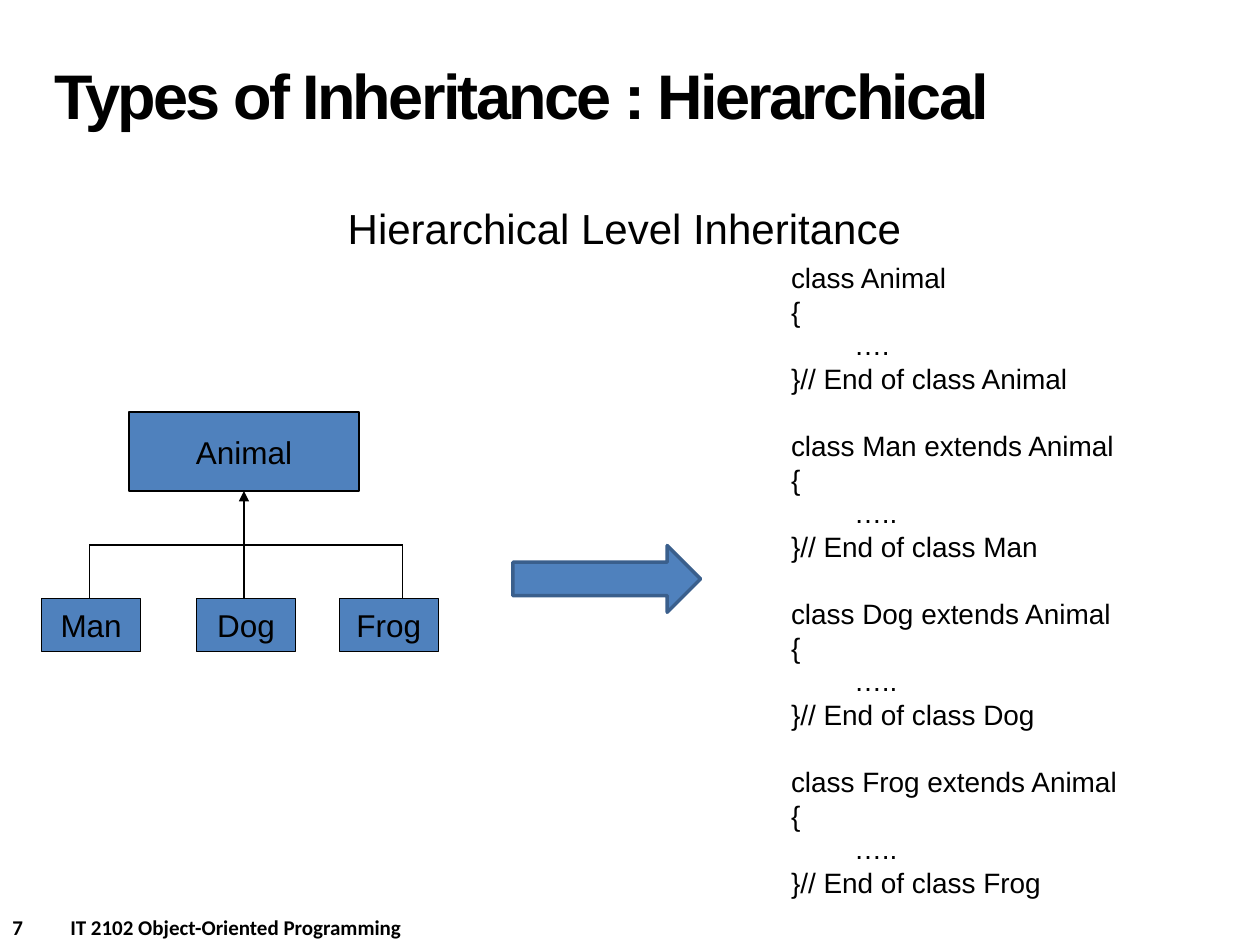
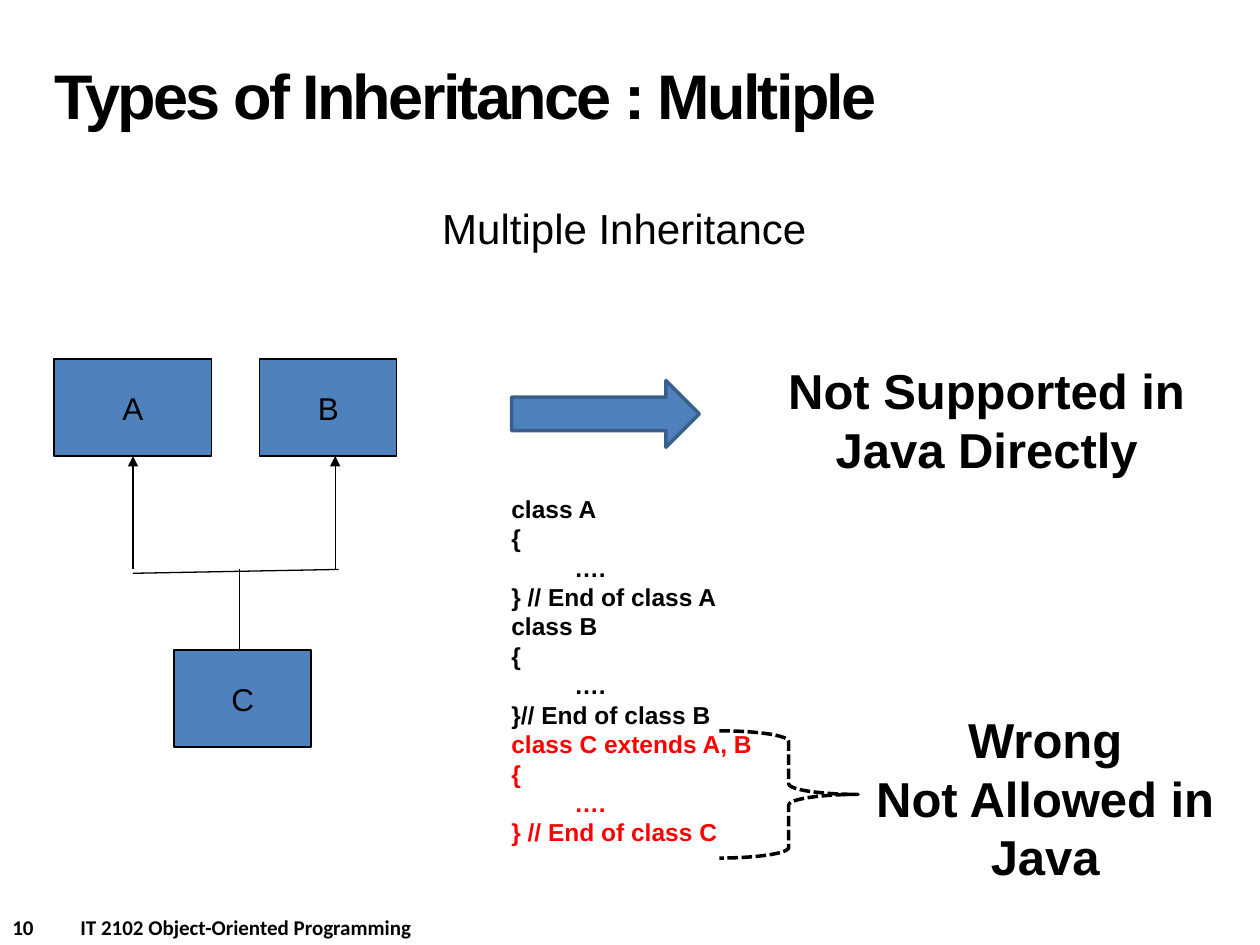
from dataclasses import dataclass

from lxml import etree
from pptx import Presentation, util as u
from pptx.dml.color import RGBColor
from pptx.enum import dml, shapes, text
from pptx.oxml import ns

BLACK, BLUE, BLUE_EDGE, RED = "000000", "4F81BD", "3A5F8C", "FF0000"
BODY_FONT, FOOTER_FONT = "Arial", "Calibri"
COURSE = "IT 2102 Object-Oriented Programming"

deck = Presentation()
deck.slide_width, deck.slide_height = u.Inches(10), u.Inches(7.5)
COLUMN, ROW = deck.slide_width / 100, deck.slide_height / 75


@dataclass
class Box:
    """An area in grid columns and rows; areas within it are given as shares."""
    left: float
    top: float
    width: float
    height: float

    def inner(self, x, y, width, height):
        return Box(self.left + x * self.width, self.top + y * self.height,
                   width * self.width, height * self.height)

    def point(self, x, y):
        return (int((self.left + x * self.width) * COLUMN),
                int((self.top + y * self.height) * ROW))

    def emu(self):
        return (*self.point(0, 0), int(self.width * COLUMN), int(self.height * ROW))


TITLE = Box(3.3, 1.7, 93.1, 12.5)
SUBTITLE = Box(1.1, 15.6, 96.9, 5)
FOOTER = Box(0, 72.1, 50, 3)


# Formatting helpers
def rgb(value):
    return RGBColor.from_string(value)


def sub_element(parent, tag, **attributes):
    return etree.SubElement(parent, ns.qn(tag), attributes)


def format_text(paragraph, size, colour=BLACK, bold=False, font=BODY_FONT):
    for run in paragraph.runs:
        run.font.size, run.font.bold, run.font.name = u.Pt(size), bold, font
        run.font.color.rgb = rgb(colour)


def add_text(slide, box, lines, size, align=text.PP_ALIGN.LEFT, **style):
    frame = slide.shapes.add_textbox(*box.emu()).text_frame
    frame.word_wrap = True
    frame.auto_size = text.MSO_AUTO_SIZE.SHAPE_TO_FIT_TEXT
    frame.text = "\n".join(lines)
    for paragraph in frame.paragraphs:
        paragraph.alignment = align
        format_text(paragraph, size, **style)
    return frame


def add_preset(holder, preset, box, edge, weight, fill=None):
    shape = holder.shapes.add_shape(preset, *box.emu())
    shape.shadow.inherit = False
    if fill:
        shape.fill.solid()
        shape.fill.fore_color.rgb = rgb(fill)
    else:
        shape.fill.background()
    shape.line.color.rgb = rgb(edge)
    shape.line.width = u.Pt(weight)
    return shape


def add_class_box(diagram, box, name):
    frame = add_preset(diagram, shapes.MSO_SHAPE.RECTANGLE, box, BLACK, 0.75, BLUE).text_frame
    frame.word_wrap = False
    frame.vertical_anchor = text.MSO_ANCHOR.MIDDLE
    frame.text = name
    frame.paragraphs[0].alignment = text.PP_ALIGN.CENTER
    format_text(frame.paragraphs[0], 18)


def add_line(diagram, start, end, arrow=False):
    line = diagram.shapes.add_connector(shapes.MSO_CONNECTOR.STRAIGHT, *start, *end)
    line.line.color.rgb = rgb(BLACK)
    line.line.width = u.Pt(0.75)
    if arrow:
        sub_element(line.get_or_add_ln(), "a:tailEnd", type="triangle")
    sub_element(line._element.spPr, "a:effectLst")


# Title, subtitle and footer shared by the slides
def add_topic_slide(number, topic, subtitle):
    slide = deck.slides.add_slide(deck.slide_layouts[5])
    heading = slide.shapes.title
    heading.left, heading.top, heading.width, heading.height = TITLE.emu()
    frame = heading.text_frame
    frame.auto_size = text.MSO_AUTO_SIZE.NONE
    frame.vertical_anchor = text.MSO_ANCHOR.MIDDLE
    frame.text = f"Types of Inheritance : {topic}"
    paragraph = frame.paragraphs[0]
    paragraph.alignment = text.PP_ALIGN.LEFT
    paragraph.line_spacing = u.Pt(36)
    format_text(paragraph, 36, bold=True)
    paragraph.runs[0]._r.get_or_add_rPr().set("spc", "-150")

    add_text(slide, SUBTITLE, [subtitle], 24, text.PP_ALIGN.CENTER)

    footer = add_text(slide, FOOTER, [f"{number}\t{COURSE}"], 12, bold=True, font=FOOTER_FONT)
    course_start = u.Inches(0.38 + 0.08 * len(str(number)))
    tabs = sub_element(footer.paragraphs[0]._p.get_or_add_pPr(), "a:tabLst")
    sub_element(tabs, "a:tab", pos=str(course_start), algn="l")
    return slide


def add_block_arrow(slide, box):
    add_preset(slide, shapes.MSO_SHAPE.RIGHT_ARROW, box, BLUE_EDGE, 2, BLUE)


# Code listing: one (header, body, end, colour) entry for each class
def add_code(slide, box, classes, size, gap=0, bold=False):
    lines = [line for header, body, end, _ in classes
             for line in (header, "{", f"\t{body}", end)]
    paragraphs = add_text(slide, box, lines, size, bold=bold).paragraphs
    for index, paragraph in enumerate(paragraphs):
        format_text(paragraph, size, classes[index // 4][3], bold)
        if index and index % 4 == 0:
            paragraph.space_before = u.Pt(gap)


# One parent above several children
def add_hierarchy(slide, box, parent, children):
    diagram = slide.shapes.add_group_shape()
    bus, child_top, parent_height, child_width, trunk = 0.555, 0.78, 0.33, 0.25, 0.51
    add_class_box(diagram, box.inner(0.22, 0, 0.58, parent_height), parent)
    add_line(diagram, box.point(trunk, bus), box.point(trunk, parent_height), arrow=True)
    stubs = [stub for _, _, stub in children]
    add_line(diagram, box.point(stubs[0], bus), box.point(stubs[-1], bus))
    for name, left, stub in children:
        add_class_box(diagram, box.inner(left, child_top, child_width, 1 - child_top), name)
        add_line(diagram, box.point(stub, bus), box.point(stub, child_top))


# Several parents above one child
def add_multiple(slide, box, parents, child):
    diagram = slide.shapes.add_group_shape()
    bus, height, child_top, trunk = 0.542, 0.25, 0.75, 0.54
    for name, left, width, stub in parents:
        add_class_box(diagram, box.inner(left, 0, width, height), name)
        add_line(diagram, box.point(stub, bus), box.point(stub, height), arrow=True)
    add_line(diagram, box.point(parents[0][3], bus + 0.01), box.point(0.83, bus))
    add_class_box(diagram, box.inner(0.35, child_top, 0.4, height), child)
    add_line(diagram, box.point(trunk, bus), box.point(trunk, child_top))


def add_verdict(slide, box, lines):
    add_text(slide, box, lines, 28, text.PP_ALIGN.CENTER, bold=True)


# Hierarchical inheritance
hierarchical = add_topic_slide(7, "Hierarchical", "Hierarchical Level Inheritance")
add_block_arrow(hierarchical, Box(40.7, 43.3, 14.9, 5.3))
animals = [("Man", 0, 0.12), ("Dog", 0.39, 0.51), ("Frog", 0.75, 0.91)]
animal_classes = [("class Animal", "….", "}// End of class Animal", BLACK)]
animal_classes += [(f"class {name} extends Animal", "…..", f"}}// End of class {name}", BLACK)
                   for name, _, _ in animals]
add_code(hierarchical, Box(61.8, 20.2, 34.6, 52.2), animal_classes, 16, gap=19.2)
add_hierarchy(hierarchical, Box(3.3, 32.7, 31.5, 19), "Animal", animals)

# Multiple inheritance
multiple = add_topic_slide(10, "Multiple", "Multiple Inheritance")
add_block_arrow(multiple, Box(40.6, 30.2, 14.9, 5.3))
add_multiple(multiple, Box(4.3, 28.5, 27.2, 30.8),
             [("A", 0, 0.46, 0.23), ("B", 0.6, 0.4, 0.82)], "C")
add_verdict(multiple, Box(60.2, 28.1, 36.2, 10.4), ["Not Supported in Java Directly"])
add_code(multiple, Box(39.6, 38.7, 28.5, 29.3), [
    ("class A", "….", "} // End of class A", BLACK),
    ("class B", "….", "}// End of class B", BLACK),
    ("class C extends A, B", "….", "} // End of class C", RED),
], 14, bold=True)
brace = add_preset(multiple, shapes.MSO_SHAPE.RIGHT_BRACE, Box(57.1, 58, 11, 10.1), BLACK, 2)
brace.line.dash_style = dml.MSO_LINE.SQUARE_DOT
add_verdict(multiple, Box(65.9, 55.8, 34.1, 15.1), ["Wrong", "Not Allowed in Java"])

deck.save("out.pptx")
